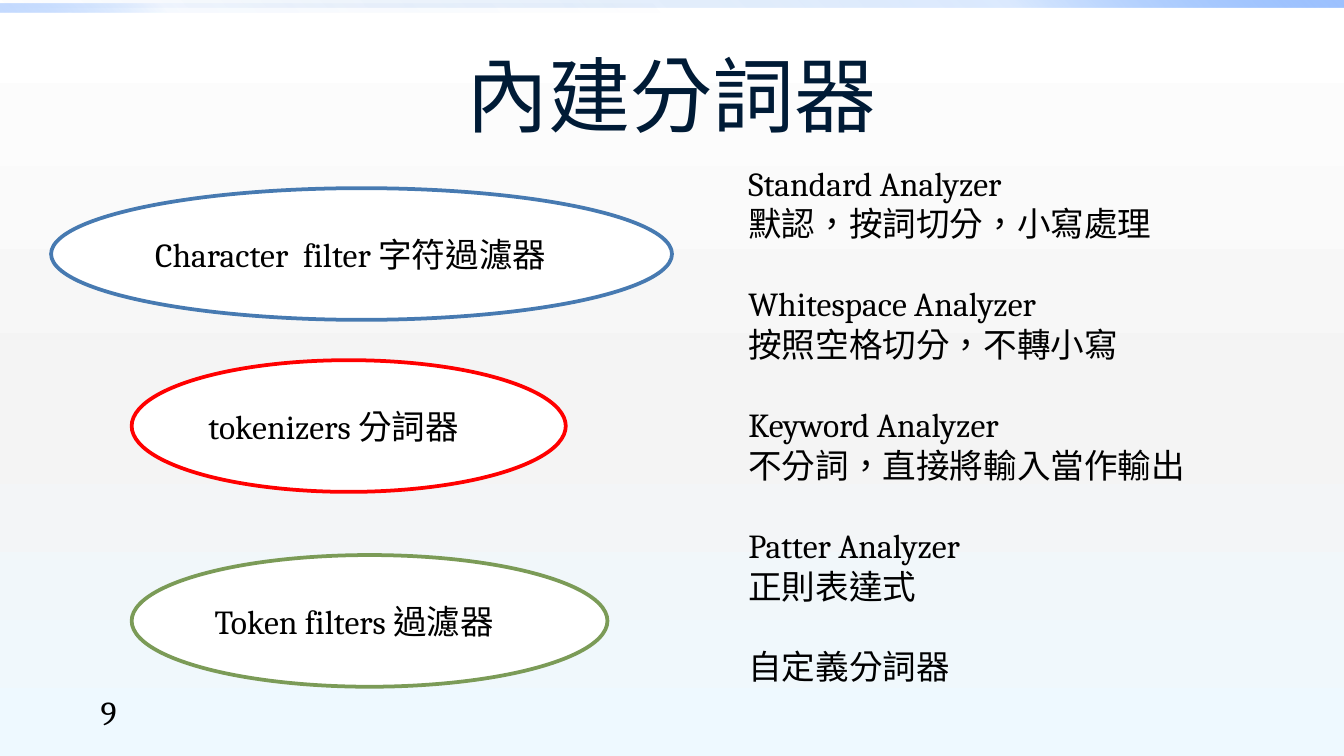
from dataclasses import dataclass
from typing import NamedTuple

from lxml import etree
from pptx import Presentation
from pptx.dml.color import RGBColor
from pptx.enum.shapes import MSO_SHAPE as Shape
from pptx.enum.text import MSO_ANCHOR as Anchor, MSO_AUTO_SIZE as AutoSize, PP_ALIGN as Align
from pptx.oxml.ns import qn
from pptx.util import Inches, Pt


@dataclass(frozen=True)
class Theme:
    title_font: str = "Roboto"
    body_font: str = "Cambria"
    language: str = "zh-TW"
    title_size: int = 44
    body_size: int = 18
    paragraph_gap: float = 21.6
    outline: int = 2
    title: str = "001B36"
    text: str = "000000"
    white: str = "FFFFFF"
    blue: str = "477AB1"
    red: str = "FF0000"
    green: str = "7B9B57"


class Box(NamedTuple):
    left: float
    top: float
    width: float
    height: float


class Stop(NamedTuple):
    position: int
    color: str
    alpha: int = 100


class Stage(NamedTuple):
    text: str
    left: float
    top: float
    width: float
    color: str


class Bar(NamedTuple):
    box: Box
    angle: int
    stops: list[Stop]


THEME = Theme()
STAGE_HEIGHT = 0.98

BACKGROUND = [Stop(0, "FFFFFF"), Stop(55, "F4F4F4"), Stop(100, "EEF9FF")]
BARS = [
    Bar(Box(0, 0, 10, 0.06), 315,
        [Stop(0, "0058B7", 0), Stop(75, "4F95FF", 20), Stop(100, "9EC2FF")]),
    Bar(Box(0, 0.03, 5, 0.06), 135,
        [Stop(0, "0058B7", 0), Stop(75, "4F95FF", 5), Stop(100, "9EC2FF", 60)]),
]
STAGES = [
    Stage("Character  filter 字符過濾器", 0.38, 1.4, 4.62, THEME.blue),
    Stage("tokenizers 分詞器", 0.98, 2.68, 3.23, THEME.red),
    Stage("Token filters 過濾器", 0.98, 4.13, 3.54, THEME.green),
]
ANALYZERS = [
    ["Standard Analyzer", "默認，按詞切分，小寫處理"],
    ["Whitespace Analyzer", "按照空格切分，不轉小寫"],
    ["Keyword Analyzer", "不分詞，直接將輸入當作輸出"],
    ["Patter Analyzer", "正則表達式"],
    ["自定義分詞器"],
]


def set_gradient(fill, parent, stops: list[Stop], angle: int) -> None:
    """Give a fill any number of stops, each with its own opacity."""
    fill.gradient()
    grad = parent.find(".//" + qn("a:gradFill"))
    for child in list(grad):
        grad.remove(child)
    stop_list = etree.SubElement(grad, qn("a:gsLst"))
    for stop in stops:
        gs = etree.SubElement(stop_list, qn("a:gs"), pos=str(stop.position * 1000))
        color = etree.SubElement(gs, qn("a:srgbClr"), val=stop.color)
        if stop.alpha < 100:
            etree.SubElement(color, qn("a:alpha"), val=str(stop.alpha * 1000))
    etree.SubElement(grad, qn("a:lin"), ang=str(angle * 60000), scaled="0")


def write(p, text: str, font: str = THEME.body_font, size: int = THEME.body_size,
          color: str = THEME.text, align=Align.LEFT) -> None:
    p.alignment = align
    r = p.add_run()
    r.text = text
    for name, value in {"name": font, "size": Pt(size)}.items():
        setattr(r.font, name, value)
    r.font.color.rgb = RGBColor.from_string(color)
    # The language decides how Chinese punctuation is drawn
    r._r.get_or_add_rPr().set("lang", THEME.language)


def add_text_frame(s, box: Box, anchor=Anchor.TOP):
    tf = s.shapes.add_textbox(*map(Inches, box)).text_frame
    for name, value in {"word_wrap": True, "vertical_anchor": anchor}.items():
        setattr(tf, name, value)
    return tf


def add_bar(s, bar: Bar) -> None:
    sp = s.shapes.add_shape(Shape.RECTANGLE, *map(Inches, bar.box))
    sp.shadow.inherit = False
    sp.line.fill.background()
    set_gradient(sp.fill, sp.element.spPr, bar.stops, bar.angle)


def add_stage(s, stage: Stage) -> None:
    box = Box(stage.left, stage.top, stage.width, STAGE_HEIGHT)
    sp = s.shapes.add_shape(Shape.OVAL, *map(Inches, box))
    sp.shadow.inherit = False
    sp.fill.solid()
    sp.fill.fore_color.rgb = RGBColor.from_string(THEME.white)
    sp.line.color.rgb = RGBColor.from_string(stage.color)
    sp.line.width = Pt(THEME.outline)
    sp.text_frame.vertical_anchor = Anchor.MIDDLE
    write(sp.text_frame.paragraphs[0], stage.text)


def add_analyzers(s, box: Box, groups: list[list[str]]) -> None:
    tf = add_text_frame(s, box)
    tf.auto_size = AutoSize.SHAPE_TO_FIT_TEXT
    for i, group in enumerate(groups):
        for j, line in enumerate(group):
            first = i == 0 and j == 0
            p = tf.paragraphs[0] if first else tf.add_paragraph()
            if j == 0 and i > 0:
                p.space_before = Pt(THEME.paragraph_gap)
            write(p, line)


def main() -> None:
    # A 16:9 slide
    prs = Presentation()
    prs.slide_width = Inches(10)
    prs.slide_height = prs.slide_width * 9 // 16
    s = prs.slides.add_slide(prs.slide_layouts[6])

    # Background and top bars
    set_gradient(s.background.fill, s.element, BACKGROUND, 90)
    for bar in BARS:
        add_bar(s, bar)

    # Title and page number
    tf = add_text_frame(s, Box(0.5, 0.23, 9, 0.94), Anchor.MIDDLE)
    write(tf.paragraphs[0], "內建分詞器", THEME.title_font, THEME.title_size,
          THEME.title, Align.CENTER)
    tf = add_text_frame(s, Box(0.65, 5.1, 0.73, 0.3))
    write(tf.paragraphs[0], "9")

    # Analysis stages
    for stage in STAGES:
        add_stage(s, stage)

    # Built-in analyzers
    add_analyzers(s, Box(5.47, 1.16, 3.94, 4.34), ANALYZERS)

    prs.save("out.pptx")


if __name__ == "__main__":
    main()
